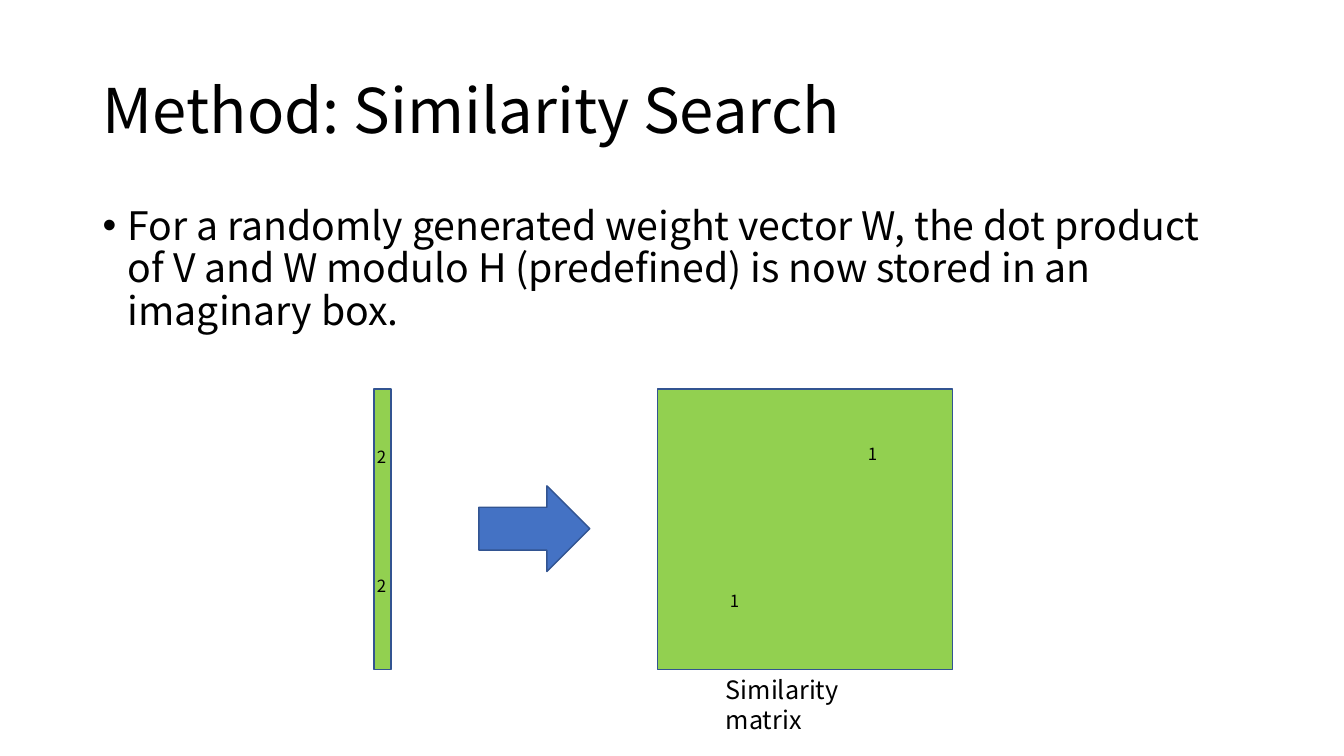
"""Build the similarity search method slide."""
import pptx
import pptx.util
import pptx.dml.color
import pptx.enum.shapes
import pptx.enum.text
import lxml.etree

Inch = pptx.util.Inches
Pt = pptx.util.Pt
Shape = pptx.enum.shapes.MSO_SHAPE
Text = pptx.enum.text
BLACK = pptx.dml.color.RGBColor(0x00, 0x00, 0x00)
GREEN = pptx.dml.color.RGBColor(0x92, 0xD0, 0x50)
BLUE = pptx.dml.color.RGBColor(0x44, 0x72, 0xC4)
NAVY = pptx.dml.color.RGBColor(0x32, 0x54, 0x91)
FONT = "Noto Sans CJK KR"

deck = pptx.Presentation()
deck.slide_width, deck.slide_height = Inch(13.33), Inch(7.5)
slide = deck.slides.add_slide(deck.slide_layouts[5])
shapes = slide.shapes
LEFT, WIDE = 0.92, 11.5
TOP, TALL = 3.86, 2.78


def write(box, words, size):
    """Fill a box with one left-aligned paragraph and return it."""
    frame = box.text_frame
    frame.text = words
    frame.word_wrap = True
    frame.auto_size = Text.MSO_AUTO_SIZE.NONE
    para = frame.paragraphs[0]
    para.alignment = Text.PP_ALIGN.LEFT
    for run in para.runs:
        run.font.name = FONT
        run.font.size = Pt(size)
        run.font.color.rgb = BLACK
    return para


title = shapes.title
title.left, title.top = Inch(LEFT), Inch(0.4)
title.width, title.height = Inch(WIDE), Inch(1.45)
title.text_frame.vertical_anchor = Text.MSO_ANCHOR.MIDDLE
write(title, "Method: Similarity Search", 44).line_spacing = 0.9

body = shapes.add_textbox(Inch(LEFT), Inch(2), Inch(WIDE), Inch(4.76))
point = write(body, "For a randomly generated weight vector W, the dot product "
              "of V and W modulo H (predefined) is now stored in an "
              "imaginary box.", 28)
props = point._p.get_or_add_pPr()
props.set("marL", str(Inch(0.25)))
props.set("indent", str(-Inch(0.25)))
space = props.nsmap["a"]
mark = lxml.etree.SubElement(props, f"{{{space}}}buFont")
mark.set("typeface", "Arial")
mark = lxml.etree.SubElement(props, f"{{{space}}}buChar")
mark.set("char", "•")
point.line_spacing = 0.9

for kind, left, top, wide, tall, fill in (
    (Shape.RIGHT_ARROW, 4.75, 4.82, 1.1, 0.85, BLUE),
    (Shape.RECTANGLE, 3.71, TOP, 0.17, TALL, GREEN),
    (Shape.RECTANGLE, 6.52, TOP, 2.93, TALL, GREEN),
):
    block = shapes.add_shape(kind, Inch(left), Inch(top), Inch(wide), Inch(tall))
    block.shadow.inherit = False
    block.fill.solid()
    block.fill.fore_color.rgb = fill
    block.line.color.rgb = NAVY
    block.line.width = Pt(1)

for words, left, top, wide, tall, size in (
    ("Similarity matrix", 7.1, TOP + TALL, 2.04, 0.4, 18),
    ("2", 3.64, 4.38, 0.31, 0.3, 12),
    ("2", 3.64, 5.66, 0.31, 0.3, 12),
    ("1", 8.51, 4.35, 0.31, 0.3, 12),
    ("1", 7.14, 5.81, 0.31, 0.3, 12),
):
    label = shapes.add_textbox(Inch(left), Inch(top), Inch(wide), Inch(tall))
    write(label, words, size)

deck.save("out.pptx")
